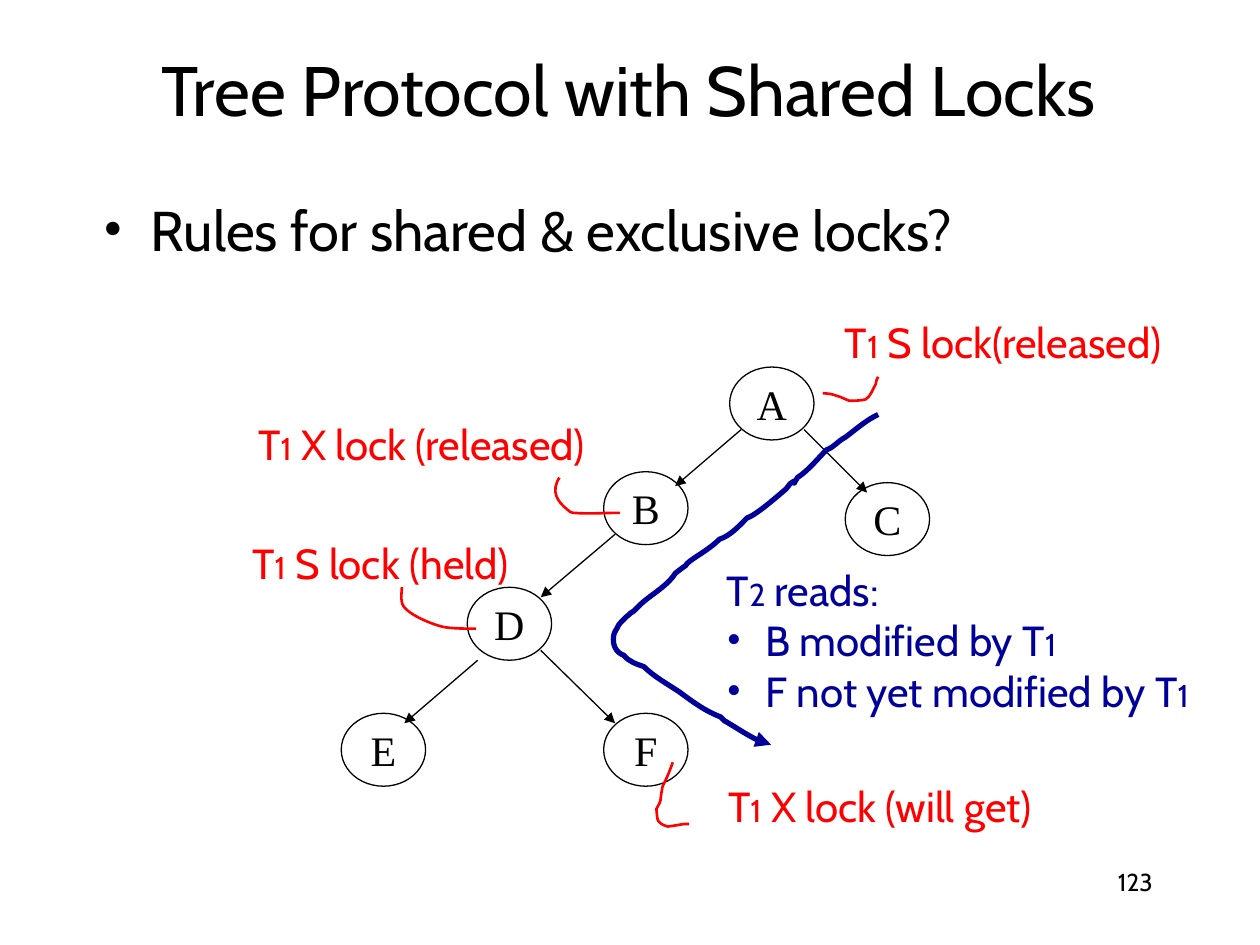
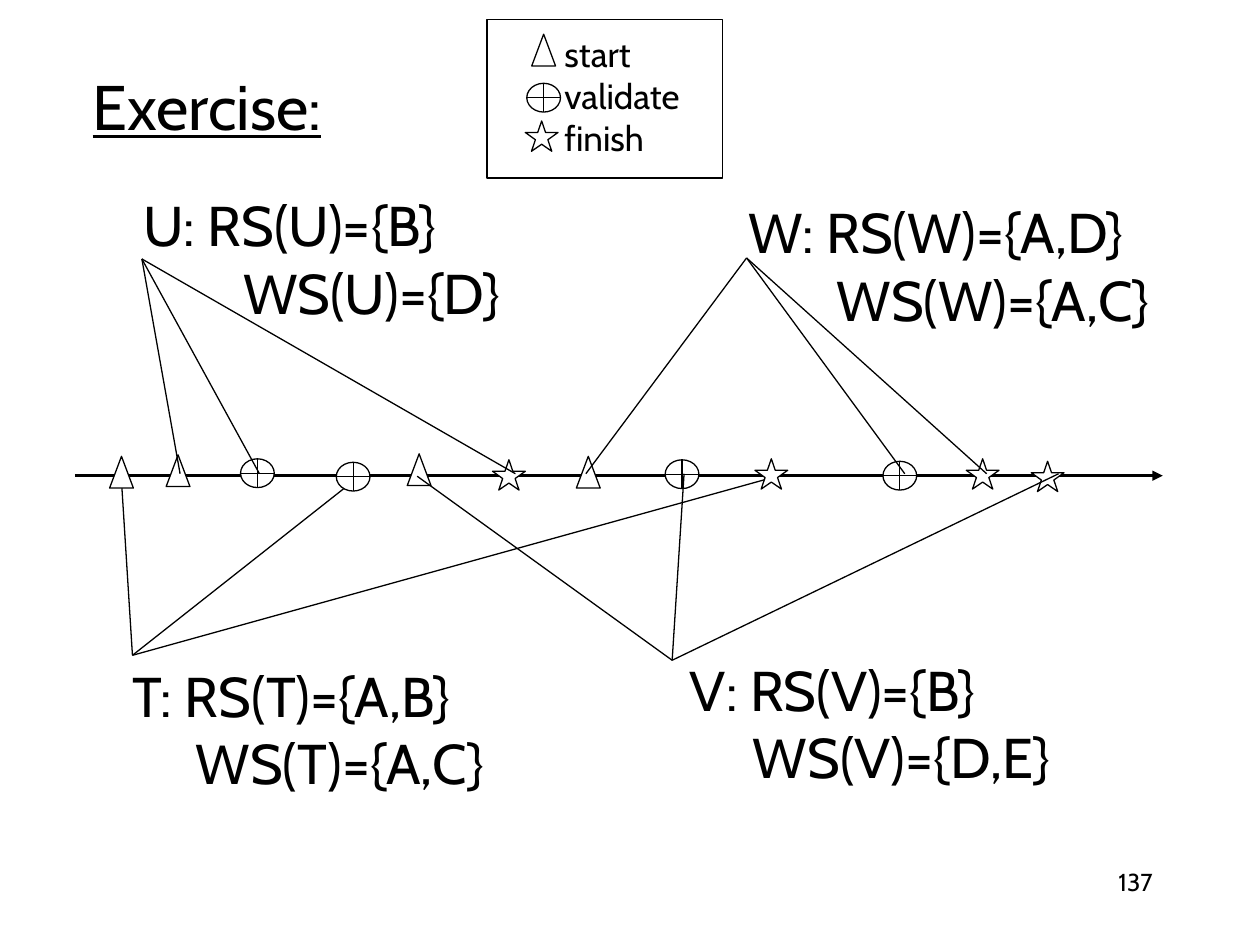
from dataclasses import dataclass
from itertools import groupby

from lxml import etree
from pptx import Presentation
from pptx import util as u
from pptx.dml.color import RGBColor
from pptx.enum import shapes, text
from pptx.oxml.ns import qn


@dataclass(frozen=True)
class Theme:
    black: str = "000000"
    white: str = "FFFFFF"
    red: str = "FF0000"
    blue: str = "000099"
    font: str = "Cabin"
    serif: str = "Times New Roman"
    title: int = 40
    exercise: int = 36
    body: int = 32
    label: int = 24
    legend: int = 20
    digit: int = 18
    number: int = 14
    thin: float = 0.75
    medium: float = 1.5
    thick: float = 3


THEME = Theme()
LEFT, CENTER, RIGHT = text.PP_ALIGN.LEFT, text.PP_ALIGN.CENTER, text.PP_ALIGN.RIGHT
TOP, MIDDLE = text.MSO_ANCHOR.TOP, text.MSO_ANCHOR.MIDDLE
SHAPE = shapes.MSO_SHAPE
CURVE_UNIT = u.Cm(2.54) / 100


def add_text(paragraph, content, size=THEME.label, color=THEME.black, font=THEME.font,
             align=LEFT, underline=False, digit_size=None, indent=0, bullet=False):
    properties = paragraph._p.get_or_add_pPr()
    if indent:
        properties.set("marL", str(u.Cm(indent)))
    if bullet:
        properties.set("indent", str(-u.Cm(indent)))
        bullet_color = etree.SubElement(properties, qn("a:buClr"))
        etree.SubElement(bullet_color, qn("a:srgbClr")).set("val", color)
        etree.SubElement(properties, qn("a:buFont")).set("typeface", THEME.serif)
        etree.SubElement(properties, qn("a:buChar")).set("char", "•")
    paragraph.alignment = align
    groups = groupby(content, str.isdigit) if digit_size else [(False, content)]
    for is_digit, characters in groups:
        run = paragraph.add_run()
        run.text = "".join(characters)
        run.font.size = u.Pt(digit_size if is_digit else size)
        run.font.name = font
        run.font.color.rgb = RGBColor.from_string(color)
        run.font.underline = underline


def bend_segments(shape):
    path = shape._element.spPr.find(".//" + qn("a:path"))
    corners = path.findall(qn("a:lnTo"))
    for index in range(0, len(corners), 3):
        bend = etree.SubElement(path, qn("a:cubicBezTo"))
        for corner in corners[index:index + 3]:
            bend.append(corner[0])
            path.remove(corner)


class Deck:
    def __init__(self, theme):
        self.theme = theme
        self.presentation = Presentation()
        self.presentation.slide_width = u.Cm(25.4)
        self.presentation.slide_height = u.Cm(19.05)
        self.slide = None

    def new_slide(self, number):
        self.slide = self.presentation.slides.add_slide(self.presentation.slide_layouts[6])
        self.text_box((18.21, 17.35, 5.28, 1.27), [number], size=self.theme.number,
                      align=RIGHT)

    def title(self, box, content, **style):
        self.text_box(box, [content], anchor=MIDDLE, **style)

    def text_box(self, box, lines, anchor=TOP, **style):
        frame = self.slide.shapes.add_textbox(*map(u.Cm, box)).text_frame
        frame.word_wrap = True
        frame.vertical_anchor = anchor
        for index, line in enumerate(lines):
            content, extra = line if isinstance(line, tuple) else (line, {})
            paragraph = frame.add_paragraph() if index else frame.paragraphs[0]
            add_text(paragraph, content, **{**style, **extra})

    def outline(self, shape, color, width, arrow=False):
        shape.line.color.rgb = RGBColor.from_string(color)
        shape.line.width = u.Pt(width)
        if arrow:
            line = shape._element.spPr.find(qn("a:ln"))
            etree.SubElement(line, qn("a:tailEnd")).set("type", "triangle")

    def finish_shape(self, shape, filled=True):
        shape.shadow.inherit = False
        if filled:
            shape.fill.solid()
            shape.fill.fore_color.rgb = RGBColor.from_string(self.theme.white)
        else:
            shape.fill.background()
        self.outline(shape, self.theme.black, self.theme.thin)
        return shape

    def shape(self, kind, box, filled=True):
        shape = self.slide.shapes.add_shape(kind, *map(u.Cm, box))
        return self.finish_shape(shape, filled)

    def star(self, left, top, width, height):
        corners = [(u.Cm(left + width * x), u.Cm(top + height * y)) for x, y in STAR]
        builder = self.slide.shapes.build_freeform(*corners[0])
        builder.add_line_segments(corners[1:])
        self.finish_shape(builder.convert_to_shape())

    def node(self, name, left, top):
        frame = self.shape(SHAPE.OVAL, (left, top, 1.7, 1.47)).text_frame
        frame.word_wrap = False
        frame.vertical_anchor = MIDDLE
        add_text(frame.paragraphs[0], name, font=self.theme.serif, align=CENTER)

    def line(self, start, end, width=THEME.thin, arrow=False):
        connector = self.slide.shapes.add_connector(
            shapes.MSO_CONNECTOR.STRAIGHT, *map(u.Cm, (*start, *end)))
        self.outline(connector, self.theme.black, width, arrow)
        etree.SubElement(connector._element.spPr, qn("a:effectLst"))

    def curve(self, points, color, width, arrow=False):
        builder = self.slide.shapes.build_freeform(*points[0], scale=CURVE_UNIT)
        builder.add_line_segments(points[1:], close=False)
        shape = builder.convert_to_shape()
        bend_segments(shape)
        shape.shadow.inherit = False
        shape.fill.background()
        self.outline(shape, color, width, arrow)

    def marker(self, event, left, top):
        kind, width, height = EVENTS[event]
        if kind:
            self.shape(kind, (left, top, width, height))
        else:
            self.star(left, top, width, height)

    def fan(self, hub, ends, arrow=False):
        for end in ends:
            self.line(hub, end, arrow=arrow)


NODES = {"A": (14.71, 7.4), "B": (12.17, 9.51), "C": (17.04, 9.73),
         "D": (9.42, 11.84), "E": (6.88, 14.38), "F": (12.17, 14.38)}
EDGES = [((14.94, 8.66), (13.61, 9.8)), ((12.4, 10.77), (10.9, 12.04)),
         ((9.63, 13.31), (8.15, 14.58)), ((10.9, 13.11), (12.4, 14.58)),
         ((16.21, 8.66), (17.48, 9.93))]
LOCKS = [
    ("T1 S lock(released)", (16.35, 6.25, 7.75, 1.27),
     [(653, 312), (662, 313), (657, 312), (667, 315), (669, 316), (674, 318), (674, 318),
      (678, 318), (683, 318), (687, 317), (691, 315), (693, 308), (695, 305),
      (696, 301), (695, 303), (697, 299)]),
    ("T1 X lock (will get)", (14.02, 15.6, 7.44, 1.27),
     [(534, 605), (532, 611), (529, 618), (526, 624), (523, 639), (526, 633), (521, 642),
      (522, 652), (521, 653), (530, 656), (545, 654), (539, 654), (547, 654)]),
    ("T1 S lock (held)", (4.52, 10.71, 6.3, 1.27),
     [(378, 499), (370, 499), (362, 499), (354, 498), (346, 497), (320, 487), (319, 478),
      (318, 474), (319, 470), (319, 466)]),
    ("T1 X lock (released)", (4.5, 8.31, 8, 1.27),
     [(444, 379), (437, 390), (442, 398), (451, 405), (452, 406), (453, 407), (455, 407),
      (467, 408), (479, 407), (492, 407)]),
]
READ_ROUTE = [
    (697, 329), (688, 333), (679, 341), (671, 347), (665, 350), (662, 355), (656, 357),
    (649, 364), (642, 373), (633, 379), (626, 390), (636, 377), (627, 384),
    (626, 385), (625, 387), (624, 388), (618, 393), (600, 409), (593, 411),
    (587, 417), (580, 425), (571, 428), (564, 435), (555, 440), (548, 445),
    (546, 446), (545, 448), (544, 449), (541, 451), (536, 455), (536, 455),
    (529, 466), (516, 472), (507, 481), (505, 483), (504, 484), (503, 485),
    (501, 486), (500, 487), (499, 488), (496, 490), (491, 496), (491, 496),
    (490, 499), (487, 502), (487, 505), (486, 512), (489, 518), (495, 520),
    (499, 525), (505, 527), (511, 529), (519, 537), (530, 543), (539, 549),
    (550, 557), (559, 564), (572, 569), (577, 574), (572, 570), (580, 575),
    (585, 578), (605, 591), (612, 591)]

STAR = [(0, 0.38), (0.38, 0.38), (0.5, 0), (0.62, 0.38), (1, 0.38),
        (0.69, 0.62), (0.81, 1), (0.5, 0.77), (0.19, 1), (0.31, 0.62)]
EVENTS = {"start": (SHAPE.FLOWCHART_EXTRACT, 0.48, 0.64),
          "validate": (SHAPE.FLOWCHART_OR, 0.68, 0.58),
          "finish": (None, 0.66, 0.61)}
LEGEND = {"start": (10.72, 0.69), "validate": (10.62, 1.68), "finish": (10.59, 2.44)}
TIMELINE = {
    "start": [(2.21, 9.2), (3.35, 9.17), (8.21, 9.15), (11.62, 9.2)],
    "validate": [(4.85, 9.25), (6.78, 9.32), (13.41, 9.27), (17.8, 9.3)],
    "finish": [(9.93, 9.27), (15.22, 9.25), (19.48, 9.25), (20.79, 9.3)]}
TRANSACTIONS = [
    ("T: RS(T)={A,B}", "WS(T)={A,C}", 1.27, (2.43, 13.21)),
    ("V: RS(V)={B}", "WS(V)={D,E}", 1.27, (13.66, 13.08)),
    ("U: RS(U)={B}", "WS(U)={D}", 2.02, (2.64, 3.72)),
    ("W: RS(W)={A,D}", "WS(W)={A,C}", 1.79, (14.83, 3.86))]
T_FAN = (2.67, 13.21), [(2.44, 9.55), (7.21, 9.63), (15.67, 9.6)]
OTHER_FANS = [
    ((2.86, 5.22), [(3.63, 9.55), (5.23, 9.55), (10.39, 9.55)]),
    ((13.55, 13.31), [(8.41, 9.6), (13.79, 9.55), (21.34, 9.55)]),
    ((15.05, 5.2), [(11.81, 9.55), (18.24, 9.55), (19.89, 9.55)])]


def build_tree_protocol(deck):
    theme = deck.theme
    deck.new_slide("123")
    deck.title((1.88, 0.49, 21.59, 2.57), "Tree Protocol with Shared Locks",
               size=theme.title, align=CENTER)
    deck.text_box((1.83, 3.81, 21.59, 1.83), ["Rules for shared & exclusive locks?"],
                  size=theme.body, indent=0.96, bullet=True)
    for name, position in NODES.items():
        deck.node(name, *position)
    for start, end in EDGES:
        deck.line(start, end, arrow=True)
    for label, box, pointer in LOCKS:
        deck.text_box(box, [label], anchor=MIDDLE, color=theme.red, align=CENTER,
                      digit_size=theme.digit)
        deck.curve(pointer, theme.red, theme.medium)
    deck.curve(READ_ROUTE, theme.blue, theme.thick, arrow=True)
    bulleted = {"indent": 0.78, "bullet": True}
    deck.text_box((14.4, 11.25, 10.46, 3.3),
                  ["T2 reads:", ("B modified by T1", bulleted),
                   ("F not yet modified by T1", bulleted)],
                  anchor=MIDDLE, color=theme.blue, digit_size=theme.digit)


def build_exercise(deck):
    theme = deck.theme
    deck.new_slide("137")
    deck.title((1.62, 1.21, 21.59, 1.83), "Exercise:", size=theme.exercise, underline=True)
    for read_set, write_set, indent, position in TRANSACTIONS:
        deck.text_box((*position, 9.2, 2.97), [read_set, (write_set, {"indent": indent})],
                      anchor=MIDDLE, size=theme.body)
    deck.line((1.51, 9.59), (23.44, 9.59), width=theme.medium, arrow=True)
    deck.fan(*T_FAN, arrow=True)
    for event, positions in TIMELINE.items():
        for position in [LEGEND[event], *positions]:
            deck.marker(event, *position)
    for hub, ends in OTHER_FANS:
        deck.fan(hub, ends)
    deck.text_box((11.13, 0.53, 3.1, 2.79), list(LEGEND), anchor=MIDDLE, size=theme.legend)
    deck.shape(SHAPE.RECTANGLE, (9.82, 0.39, 4.75, 3.2), filled=False)


def main():
    deck = Deck(THEME)
    build_tree_protocol(deck)
    build_exercise(deck)
    deck.presentation.save("out.pptx")


if __name__ == "__main__":
    main()
